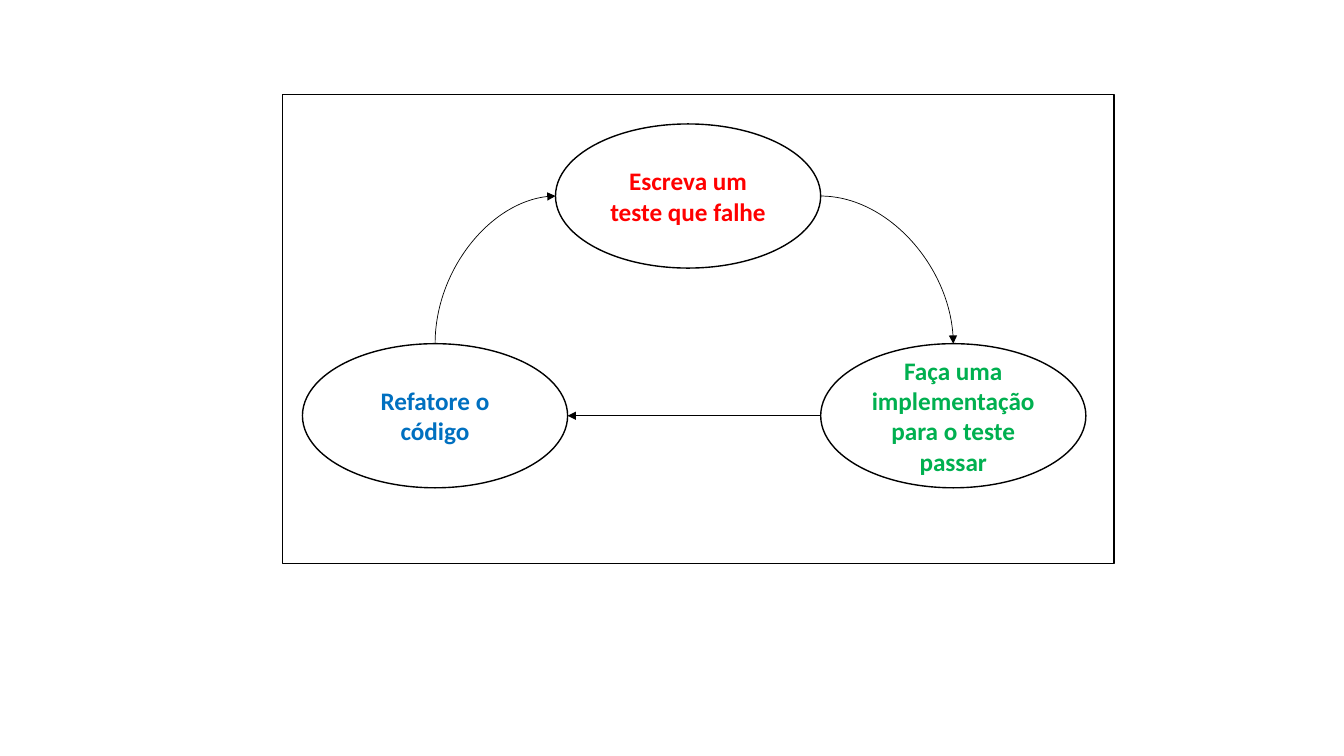
from dataclasses import dataclass

from lxml.etree import SubElement
from pptx import Presentation
from pptx.dml.color import RGBColor
from pptx.enum.shapes import MSO_CONNECTOR as Link, MSO_SHAPE as Preset
from pptx.enum.text import MSO_ANCHOR as Anchor, PP_ALIGN as Align
from pptx.oxml.ns import qn
from pptx.util import Inches, Pt


@dataclass(frozen=True)
class Theme:
    font: str = "Calibri"
    text_size: float = 18
    outline: float = 1
    arrow: float = 0.5
    ink: str = "000000"
    paper: str = "FFFFFF"
    red: str = "FF0000"
    green: str = "00B050"
    blue: str = "0070C0"


@dataclass(frozen=True)
class Box:
    left: float
    top: float
    width: float
    height: float

    def inner(self, left, top, width, height):
        return Box(self.left + left, self.top + top, width, height)

    def point(self, across, down):
        return self.left + across * self.width, self.top + down * self.height


THEME = Theme()
STEP_SIZE = (2.63, 1.43)


def add_outlined(page, preset, box):
    shape = page.shapes.add_shape(
        preset, Inches(box.left), Inches(box.top), Inches(box.width), Inches(box.height)
    )
    shape.shadow.inherit = False
    shape.fill.solid()
    shape.fill.fore_color.rgb = RGBColor.from_string(THEME.paper)
    shape.line.color.rgb = RGBColor.from_string(THEME.ink)
    shape.line.width = Pt(THEME.outline)
    return shape


def write_text(frame, text, *, color, size=THEME.text_size, bold=True, align=Align.CENTER):
    frame.word_wrap = True
    frame.vertical_anchor = Anchor.MIDDLE
    para = frame.paragraphs[0]
    para.alignment = align
    span = para.add_run()
    span.text = text
    span.font.name = THEME.font
    span.font.size = Pt(size)
    span.font.bold = bold
    span.font.color.rgb = RGBColor.from_string(color)


def add_step(page, box, text, color):
    ellipse = add_outlined(page, Preset.OVAL, box)
    write_text(ellipse.text_frame, text, color=color)


def add_arrow(page, kind, start, end):
    arrow = page.shapes.add_connector(kind, *(Inches(value) for value in (*start, *end)))
    arrow.line.color.rgb = RGBColor.from_string(THEME.ink)
    arrow.line.width = Pt(THEME.arrow)
    properties = arrow.element.spPr
    SubElement(properties.find(qn("a:ln")), qn("a:tailEnd"), type="triangle")
    SubElement(properties, qn("a:effectLst"))
    return arrow


def add_quarter_curve(page, start, end, upward=False):
    (x1, y1), (x2, y2) = start, end
    if upward:
        center_x, center_y = (x1 + x2) / 2, (y1 + y2) / 2
        half_width, half_height = abs(y2 - y1) / 2, abs(x2 - x1) / 2
        start = center_x - half_width, center_y - half_height
        end = center_x + half_width, center_y + half_height
    properties = add_arrow(page, Link.CURVE, start, end).element.spPr
    properties.find(qn("a:prstGeom")).set("prst", "curvedConnector2")
    if upward:
        turn = properties.find(qn("a:xfrm"))
        turn.set("rot", str(90 * 60000))
        turn.set("flipH", "1")
        turn.set("flipV", "1")


def draw_cycle(page, box):
    add_outlined(page, Preset.RECTANGLE, box)
    test = box.inner(2.71, 0.29, *STEP_SIZE)
    code = box.inner(5.34, 2.47, *STEP_SIZE)
    refactor = box.inner(0.2, 2.47, *STEP_SIZE)
    add_step(page, test, "Escreva um teste que falhe", THEME.red)
    add_step(page, code, "Faça uma implementação para o teste passar", THEME.green)
    add_step(page, refactor, "Refatore o código", THEME.blue)
    add_quarter_curve(page, test.point(1, 0.5), code.point(0.5, 0))
    add_quarter_curve(page, refactor.point(0.5, 0), test.point(0, 0.5), upward=True)
    add_arrow(page, Link.STRAIGHT, code.point(0, 0.5), refactor.point(1, 0.5))


def main():
    deck = Presentation()
    deck.slide_width, deck.slide_height = Inches(13.33), Inches(7.5)
    page = deck.slides.add_slide(deck.slide_layouts[6])
    draw_cycle(page, Box(2.8, 0.94, 8.25, 4.65))
    deck.save("out.pptx")


if __name__ == "__main__":
    main()
